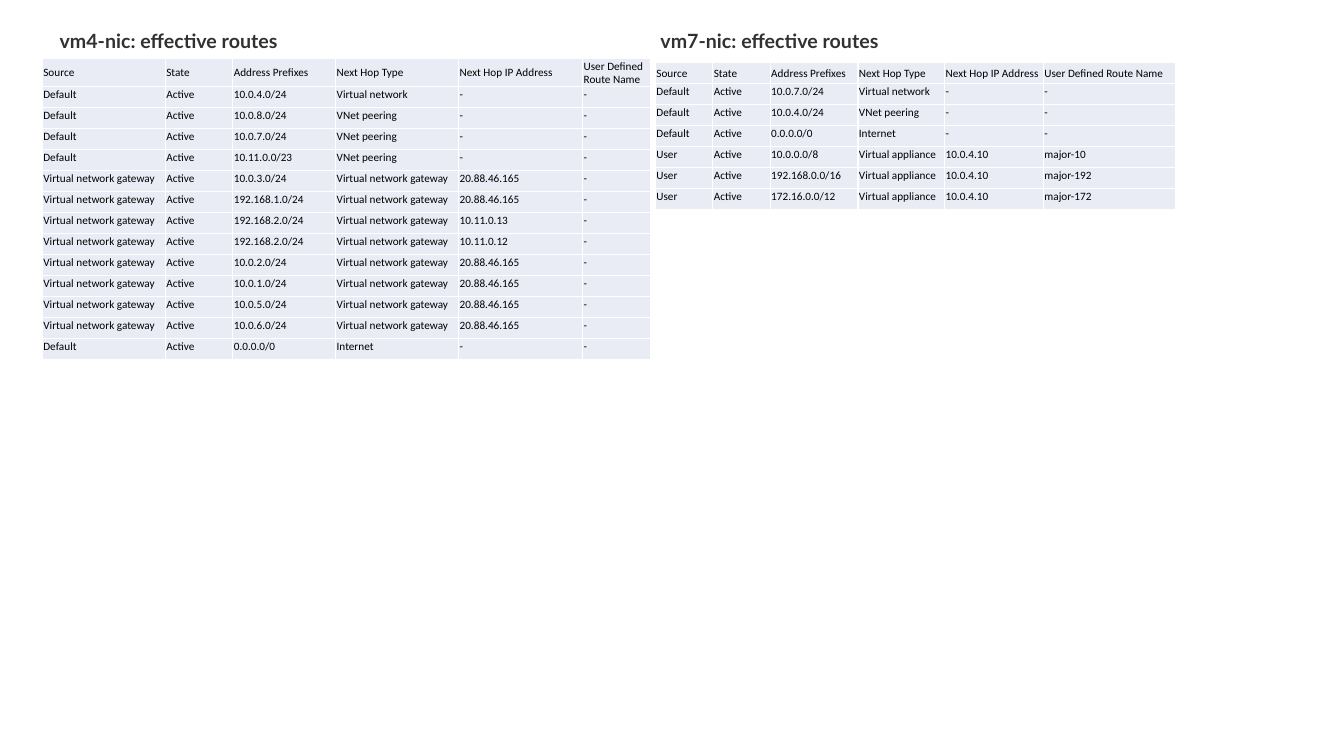
from pptx import Presentation
from pptx.util import Inches, Pt
from pptx.dml.color import RGBColor
from pptx.enum.text import MSO_ANCHOR, MSO_AUTO_SIZE, PP_ALIGN
from lxml.etree import fromstring

# Content
HEADS = ("Source", "State", "Address Prefixes", "Next Hop Type",
         "Next Hop IP Address", "User Defined Route Name")
GATE = "Virtual network gateway"
APP = "Virtual appliance"
PEER = "VNet peering"
HUB = "20.88.46.165"
HOP = "10.0.4.10"

# Each route: source, prefix, hop type, hop address, route name
VM4 = [
    ("Default", "10.0.4.0/24", "Virtual network", "-", "-"),
    ("Default", "10.0.8.0/24", PEER, "-", "-"),
    ("Default", "10.0.7.0/24", PEER, "-", "-"),
    ("Default", "10.11.0.0/23", PEER, "-", "-"),
    (GATE, "10.0.3.0/24", GATE, HUB, "-"),
    (GATE, "192.168.1.0/24", GATE, HUB, "-"),
    (GATE, "192.168.2.0/24", GATE, "10.11.0.13", "-"),
    (GATE, "192.168.2.0/24", GATE, "10.11.0.12", "-"),
    (GATE, "10.0.2.0/24", GATE, HUB, "-"),
    (GATE, "10.0.1.0/24", GATE, HUB, "-"),
    (GATE, "10.0.5.0/24", GATE, HUB, "-"),
    (GATE, "10.0.6.0/24", GATE, HUB, "-"),
    ("Default", "0.0.0.0/0", "Internet", "-", "-"),
]
VM7 = [
    ("Default", "10.0.7.0/24", "Virtual network", "-", "-"),
    ("Default", "10.0.4.0/24", PEER, "-", "-"),
    ("Default", "0.0.0.0/0", "Internet", "-", "-"),
    ("User", "10.0.0.0/8", APP, HOP, "major-10"),
    ("User", "192.168.0.0/16", APP, HOP, "major-192"),
    ("User", "172.16.0.0/12", APP, HOP, "major-172"),
]

# Each panel: placeholder, heading, heading left, table left and top,
# header height, column widths, routes
PANELS = [
    (0, "vm4-nic: effective routes", 0.49, 0.42, 0.58, 0.27,
     (1.22, 0.67, 1.02, 1.22, 1.23, 0.67), VM4),
    (3, "vm7-nic: effective routes", 6.45, 6.5, 0.62, 0.21,
     (0.57, 0.57, 0.87, 0.86, 0.98, 1.31), VM7),
]
ROW = 1.46 / 7
NS = "http://schemas.openxmlformats.org/drawingml/2006/main"


def color(code):
    return RGBColor.from_string(code)


def write(para, text, font, size, code, bold=False):
    run = para.add_run()
    run.text = text
    run.font.name = font
    run.font.size = Pt(size)
    run.font.bold = bold
    run.font.color.rgb = color(code)


def border(cell, code):
    props = cell._tc.get_or_add_tcPr()
    for i, side in enumerate(("lnL", "lnR", "lnT", "lnB")):
        props.insert(i, fromstring(
            f'<a:{side} xmlns:a="{NS}" w="12700"><a:solidFill>'
            f'<a:srgbClr val="{code}"/></a:solidFill></a:{side}>'))


def heading(shape, text, left):
    shape.left, shape.top = Inches(left), Inches(0.24)
    shape.width, shape.height = Inches(3.73), Inches(0.34)
    frame = shape.text_frame
    frame.word_wrap = True
    frame.auto_size = MSO_AUTO_SIZE.SHAPE_TO_FIT_TEXT
    frame.vertical_anchor = MSO_ANCHOR.TOP
    para = frame.paragraphs[0]
    para.alignment = PP_ALIGN.LEFT
    para.space_before = Pt(0)
    write(para, text, "Lato", 14, "323130", True)


def fill_cell(cell, text, base):
    cell.margin_left = cell.margin_right = cell.margin_top = Inches(0.01)
    cell.margin_bottom = Inches(base)
    cell.vertical_anchor = MSO_ANCHOR.MIDDLE
    cell.fill.solid()
    cell.fill.fore_color.rgb = color("E9EBF5")
    border(cell, "FFFFFF")
    write(cell.text_frame.paragraphs[0], text, "Calibri", 8, "000000")


def route_table(slide, left, top, head, widths, routes):
    rows = [HEADS] + [(src, "Active", *rest) for src, *rest in routes]
    high = head + ROW * len(routes)
    table = slide.shapes.add_table(
        len(rows), len(HEADS), Inches(left), Inches(top),
        Inches(sum(widths)), Inches(high)).table
    table.horz_banding = False
    for col, width in zip(table.columns, widths):
        col.width = Inches(width)
    for r, row in enumerate(rows):
        table.rows[r].height = Inches(ROW if r else head)
        for c, text in enumerate(row):
            fill_cell(table.cell(r, c), text, 0.05 if r else 0)


# Slide on the Comparison layout
deck = Presentation()
deck.slide_width, deck.slide_height = Inches(13.33), Inches(7.5)
slide = deck.slides.add_slide(deck.slide_layouts[4])
slots = {s.placeholder_format.idx: s for s in slide.placeholders}

# Panels: heading above its route table
for idx, title, x, left, top, head, widths, routes in PANELS:
    heading(slots.pop(idx), title, x)
    route_table(slide, left, top, head, widths, routes)

# Unused placeholders
for slot in slots.values():
    slot.element.getparent().remove(slot.element)

deck.save("out.pptx")
